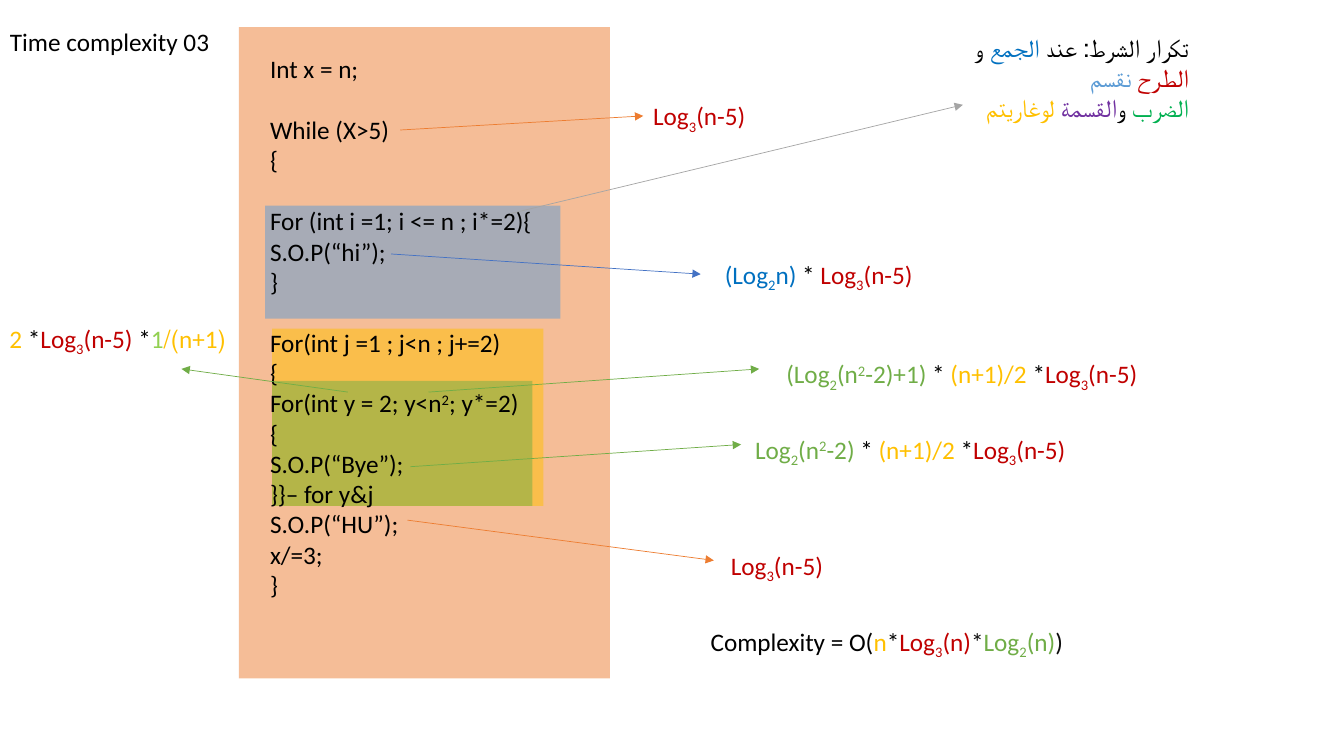
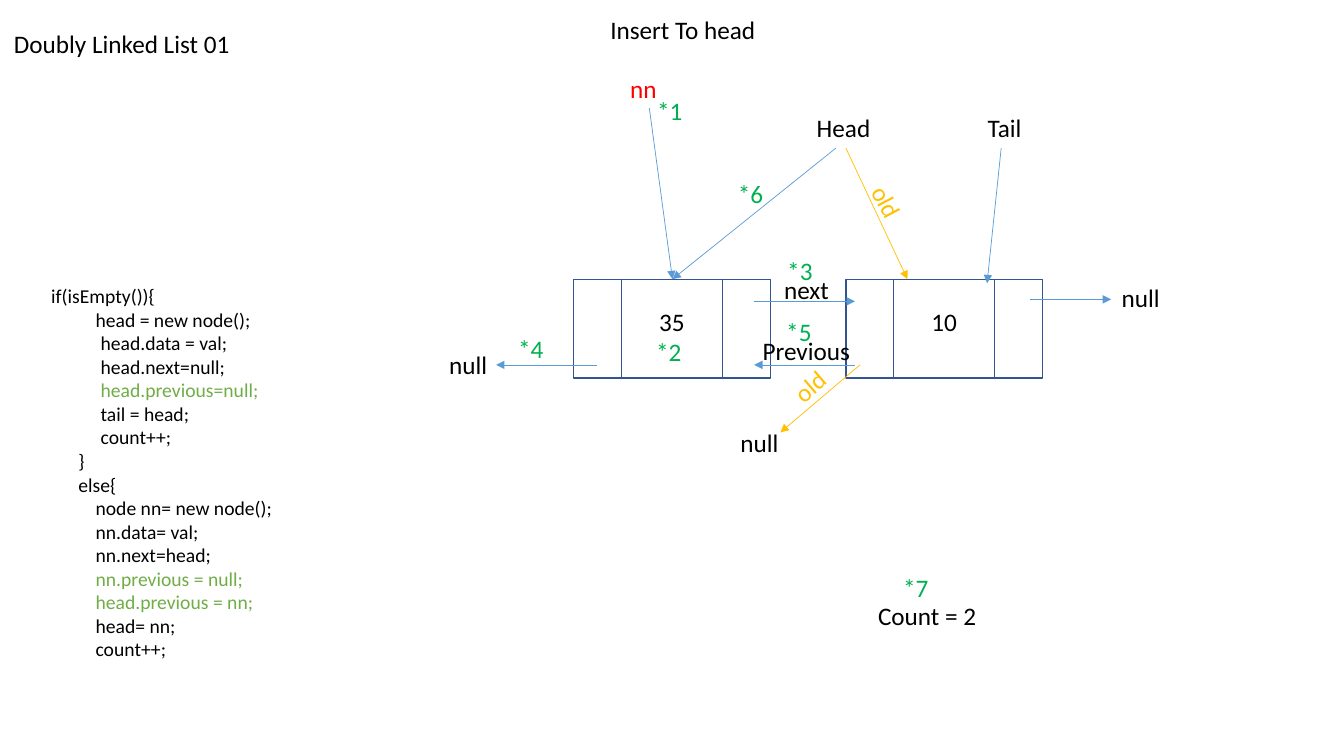
import pptx
import pptx.dml.color
import pptx.enum.shapes
import pptx.enum.text
import pptx.oxml
import pptx.oxml.ns
import pptx.util

Inches, Pt = pptx.util.Inches, pptx.util.Pt
RGBColor = pptx.dml.color.RGBColor
PP_ALIGN = pptx.enum.text.PP_ALIGN
RECT = pptx.enum.shapes.MSO_SHAPE.RECTANGLE
STRAIGHT = pptx.enum.shapes.MSO_CONNECTOR.STRAIGHT

FONT = "Calibri"
BLACK = RGBColor(0x00, 0x00, 0x00)
NEAR_BLACK = RGBColor(0x0D, 0x0D, 0x0D)
ORANGE = RGBColor(0xED, 0x7D, 0x31)
SKY = RGBColor(0x5B, 0x9B, 0xD5)
GOLD = RGBColor(0xFF, 0xC0, 0x00)
LEAF = RGBColor(0x70, 0xAD, 0x47)
BLUE = RGBColor(0x44, 0x72, 0xC4)
GRAY = RGBColor(0xA5, 0xA5, 0xA5)
AZURE = RGBColor(0x00, 0x70, 0xC0)
CRIMSON = RGBColor(0xC0, 0x00, 0x00)
RED = RGBColor(0xFF, 0x00, 0x00)
GREEN = RGBColor(0x00, 0xB0, 0x50)
LIME = RGBColor(0x92, 0xD0, 0x50)
PURPLE = RGBColor(0x70, 0x30, 0xA0)
NODE_LINE = RGBColor(0x32, 0x54, 0x91)

LINE_HEIGHT = 0.4   # one-line text box, inches
CODE_GAP = 22       # one empty line of 18 pt code, points

# Slide 1. In texts, _ lowers and ^ raises the character that follows.
LOOP_BANDS = [  # left, top, width, height, colour
    (2.37, 0.27, 3.68, 6.46, ORANGE),
    (2.63, 2.04, 2.93, 1.12, SKY),
    (2.7, 3.26, 2.69, 1.76, GOLD),
    (2.7, 3.78, 2.58, 1.24, LEAF),
]
LOOP_CODE = [  # blocks set apart by a gap
    ["Int x = n;"],
    ["While (X>5)", "{"],
    ["For (int i =1; i <= n ; i*=2){", "S.O.P(“hi”);", "}"],
    ["For(int j =1 ; j<n ; j+=2)", "{", "For(int y = 2; y<n^2; y*=2)", "{",
     "S.O.P(“Bye”);", "}}– for y&j", "S.O.P(“HU”);", "x/=3;", "}"],
]
LOOP_ARROWS = [  # from, to, colour
    ((3.88, 2.52), (6.95, 2.72), BLUE),
    ((3.45, 3.89), (1.8, 3.66), LEAF),
    ((4.25, 3.89), (7.53, 3.66), LEAF),
    ((4.07, 4.63), (7.35, 4.41), LEAF),
    ((3.97, 1.29), (6.38, 1.15), ORANGE),
    ((4.04, 5.16), (7.08, 5.56), ORANGE),
    ((5.06, 2.12), (9.55, 1.04), GRAY),
]
LOG3 = ("Log_3(n-5)", CRIMSON)
TIMES = ("* ", BLACK)
STAR = ("*", BLACK)
HALF = ("(n+1)/2 ", GOLD)
COSTS = [  # left, top, width, runs
    (7.09, 2.52, 2.22, [("(Log_2n) ", AZURE), TIMES, LOG3]),
    (7.15, 5.41, 1.64, [LOG3]),
    (7.39, 4.26, 3.68, [("Log_2(n^2-2) ", LEAF), TIMES, HALF, STAR, LOG3]),
    (6.38, 0.95, 1.64, [LOG3]),
    (7.7, 3.51, 5.22, [("(Log_2(n^2-2)+1) ", LEAF), TIMES, HALF, STAR, LOG3]),
    (6.95, 6.16, 5.97, [
        ("Complexity = O(", BLACK), ("n", GOLD), STAR, ("Log_3(n)", CRIMSON),
        ("*", NEAR_BLACK), ("Log_2(n)", LEAF), (")", NEAR_BLACK)]),
]
OUTER_COST = [HALF, STAR, ("Log_3(n-5) ", CRIMSON), STAR, ("1", LIME)]
RULE = [
    ("تكرار الشرط: عند ", BLACK), ("الجمع ", AZURE), ("و ", BLACK),
    ("الطرح ", CRIMSON), ("نقسم\n", SKY), ("الضرب", GREEN), (" و", BLACK),
    ("القسمة ", PURPLE), ("لوغاريتم", GOLD),
]

# Slide 2
NODE_TOP, NODE_W, NODE_H = 2.77, 1.95, 0.98
NODES = [(8.39, "10"), (5.69, "35")]
LIST_ARROWS = [  # from, to, colour
    ((8.39, 1.47), (9, 2.77), GOLD),
    ((9.93, 1.47), (9.79, 2.81), SKY),
    ((8.29, 1.47), (6.67, 2.77), SKY),
    ((6.44, 1.07), (6.67, 2.77), SKY),
    ((8.53, 3.62), (7.74, 4.29), GOLD),
    ((8.48, 3.62), (7.48, 3.62), SKY),
    ((7.48, 2.99), (8.48, 2.99), SKY),
    ((10.22, 2.97), (11.02, 2.97), SKY),
    ((5.92, 3.62), (4.92, 3.62), SKY),
]
LIST_LABELS = [  # left, top, width, text, colour, rotation
    (7.66, 2.67, 0.66, "next", BLACK, 0),
    (9.63, 1.07, 0.6, "Tail", BLACK, 0),
    (7.03, 1.07, 1.7, "Head", BLACK, 0),
    (8.52, 1.79, 0.54, "old", GOLD, 62.1),
    (5.74, 0.68, 0.87, "nn", RED, 0),
    (7.75, 3.64, 0.54, "old", GOLD, 319.2),
    (6.99, 4.19, 0.83, "null", BLACK, 0),
    (10.37, 2.75, 1.23, "null", BLACK, 0),
    (4.1, 3.42, 0.83, "null", BLACK, 0),
    (7.07, 3.28, 1.46, "Previous", BLACK, 0),
    (5.53, 0.09, 2.06, "Insert To head", BLACK, 0),
]
STEPS = [(6.42, 0.9), (6.41, 3.29), (7.71, 2.48), (5.04, 3.26),
         (7.7, 3.09), (7.22, 1.72), (8.86, 5.63)]
INSERT_CODE = [  # indent in inches, text, colour
    (0.04, "if(isEmpty()){", BLACK),
    (0.48, "head = new node();", BLACK),
    (0.53, "head.data = val;", BLACK),
    (0.53, "head.next=null;", BLACK),
    (0.53, "head.previous=null;", LEAF),
    (0.53, "tail = head;", BLACK),
    (0.53, "count++;", BLACK),
    (0.31, "}", BLACK),
    (0.31, "else{", BLACK),
    (0.48, "node nn= new node();", BLACK),
    (0.48, "nn.data= val;", BLACK),
    (0.48, "nn.next=head;", BLACK),
    (0.48, "nn.previous = null;", LEAF),
    (0.48, "head.previous = nn;", LEAF),
    (0.48, "head= nn;", BLACK),
    (0.48, "count++;", BLACK),
]


def split_levels(text):
    """Split marked text into (piece, baseline) pairs."""
    pieces, plain, level = [], "", 0
    for char in text:
        if char in "_^":
            pieces.append((plain, 0))
            plain, level = "", -25000 if char == "_" else 30000
        elif level:
            pieces.append((char, level))
            level = 0
        else:
            plain += char
    return [(piece, base) for piece, base in pieces + [(plain, 0)] if piece]


def add_runs(p, text, color, size):
    """Add one coloured stretch of text, with its levels and line breaks."""
    for piece, base in split_levels(text):
        r = p.add_run()
        r.text = piece.rstrip("\n")
        r.font.name, r.font.size = FONT, Pt(size)
        r.font.color.rgb = color
        if base:
            r.font._element.set("baseline", str(base))
        if piece.endswith("\n"):
            p.add_line_break()


def add_text(shapes, x, y, w, content, h=LINE_HEIGHT, color=BLACK, size=18,
             align=None, rtl=False, rotation=0):
    """Add a text box; content is a string or paragraphs (runs, indent, gap)."""
    if isinstance(content, str):
        content = [([(content, color)], 0, 0)]
    sp = shapes.add_textbox(Inches(x), Inches(y), Inches(w), Inches(h))
    sp.rotation = rotation
    tf = sp.text_frame
    tf.word_wrap = True
    tf.auto_size = pptx.enum.text.MSO_AUTO_SIZE.SHAPE_TO_FIT_TEXT
    for i, (runs, indent, gap) in enumerate(content):
        p = tf.add_paragraph() if i else tf.paragraphs[0]
        p.alignment = PP_ALIGN.RIGHT if rtl else align
        pPr = p._p.get_or_add_pPr()
        if rtl:
            pPr.set("rtl", "1")
        if indent:
            pPr.set("marL", str(Inches(indent)))
        if gap:
            p.space_before = Pt(gap)
        for text, run_color in runs:
            add_runs(p, text, run_color, size)
    return sp


def add_box(shapes, x, y, w, h, fill=None, line=None):
    """Add a rectangle with a half-transparent fill or an outline."""
    sp = shapes.add_shape(RECT, Inches(x), Inches(y), Inches(w), Inches(h))
    sp.shadow.inherit = False
    if fill is None:
        sp.fill.background()
    else:
        sp.fill.solid()
        sp.fill.fore_color.rgb = fill
        clr = sp._element.spPr.find(".//" + pptx.oxml.ns.qn("a:srgbClr"))
        clr.append(pptx.oxml.parse_xml(
            '<a:alpha %s val="50000"/>' % pptx.oxml.ns.nsdecls("a")))
    if line is None:
        sp.line.fill.background()
    else:
        sp.line.color.rgb, sp.line.width = line, Pt(1)


def add_arrow(shapes, start, end, color):
    """Add a thin straight arrow."""
    sp = shapes.add_connector(STRAIGHT, *map(Inches, start + end))
    sp.line.color.rgb, sp.line.width = color, Pt(0.5)
    ns = pptx.oxml.ns.nsdecls("a")
    sp.line._get_or_add_ln().append(
        pptx.oxml.parse_xml('<a:tailEnd %s type="triangle"/>' % ns))
    sp._element.spPr.append(pptx.oxml.parse_xml("<a:effectLst %s/>" % ns))


def add_node(s, x, value):
    """Add a grouped list node: outline, middle cell and value."""
    shapes = s.shapes.add_group_shape().shapes
    add_box(shapes, x, NODE_TOP, NODE_W, NODE_H, line=NODE_LINE)
    add_box(shapes, x + 0.475, NODE_TOP, 1, NODE_H, line=NODE_LINE)
    add_text(shapes, x + 0.61, NODE_TOP + 0.22, 0.73, value,
             align=PP_ALIGN.CENTER)


def add_slide(prs, title, x, y):
    """Add a blank slide with its title at the top left."""
    s = prs.slides.add_slide(prs.slide_layouts[6])
    add_text(s.shapes, x, y, 2.68, title)
    return s


def build_complexity(prs):
    """Build the slide that counts the steps of nested loops."""
    shapes = add_slide(prs, "Time complexity 03", 0, 0.21).shapes
    for x, y, w, h, color in LOOP_BANDS:
        add_box(shapes, x, y, w, h, fill=color)
    code = [([(line, BLACK)], 0, CODE_GAP if b and not i else 0)
            for b, block in enumerate(LOOP_CODE)
            for i, line in enumerate(block)]
    add_text(shapes, 2.58, 0.48, 3.16, code, h=5.86)
    for arrow in LOOP_ARROWS:
        add_arrow(shapes, *arrow)
    for x, y, w, runs in COSTS:
        add_text(shapes, x, y, w, [(runs, 0, 0)])
    add_text(shapes, -0.05, 3.16, 2.39, [(OUTER_COST, 0, 0)], rtl=True)
    add_text(shapes, 9.11, 0.27, 2.78, [(RULE, 0, 0)], h=1.01, rtl=True)


def build_linked_list(prs):
    """Build the slide that inserts a node at the head of a list."""
    s = add_slide(prs, "Doubly Linked List 01", 0.04, 0.23)
    for x, value in NODES:
        add_node(s, x, value)
    for arrow in LIST_ARROWS:
        add_arrow(s.shapes, *arrow)
    for x, y, w, text, color, rotation in LIST_LABELS:
        add_text(s.shapes, x, y, w, text, color=color, rtl=True,
                 rotation=rotation)
    code = [([(text, color)], indent, 0) for indent, text, color in INSERT_CODE]
    add_text(s.shapes, 0.37, 2.77, 2.56, code, h=3.87, size=14)
    for number, (x, y) in enumerate(STEPS, 1):
        add_text(s.shapes, x, y, 0.5, f"*{number}", color=GREEN)
    add_text(s.shapes, 8.61, 5.91, 1.51, "Count = 2")


prs = pptx.Presentation()
prs.slide_width, prs.slide_height = Inches(13.33), Inches(7.5)
build_complexity(prs)
build_linked_list(prs)
prs.save("out.pptx")
